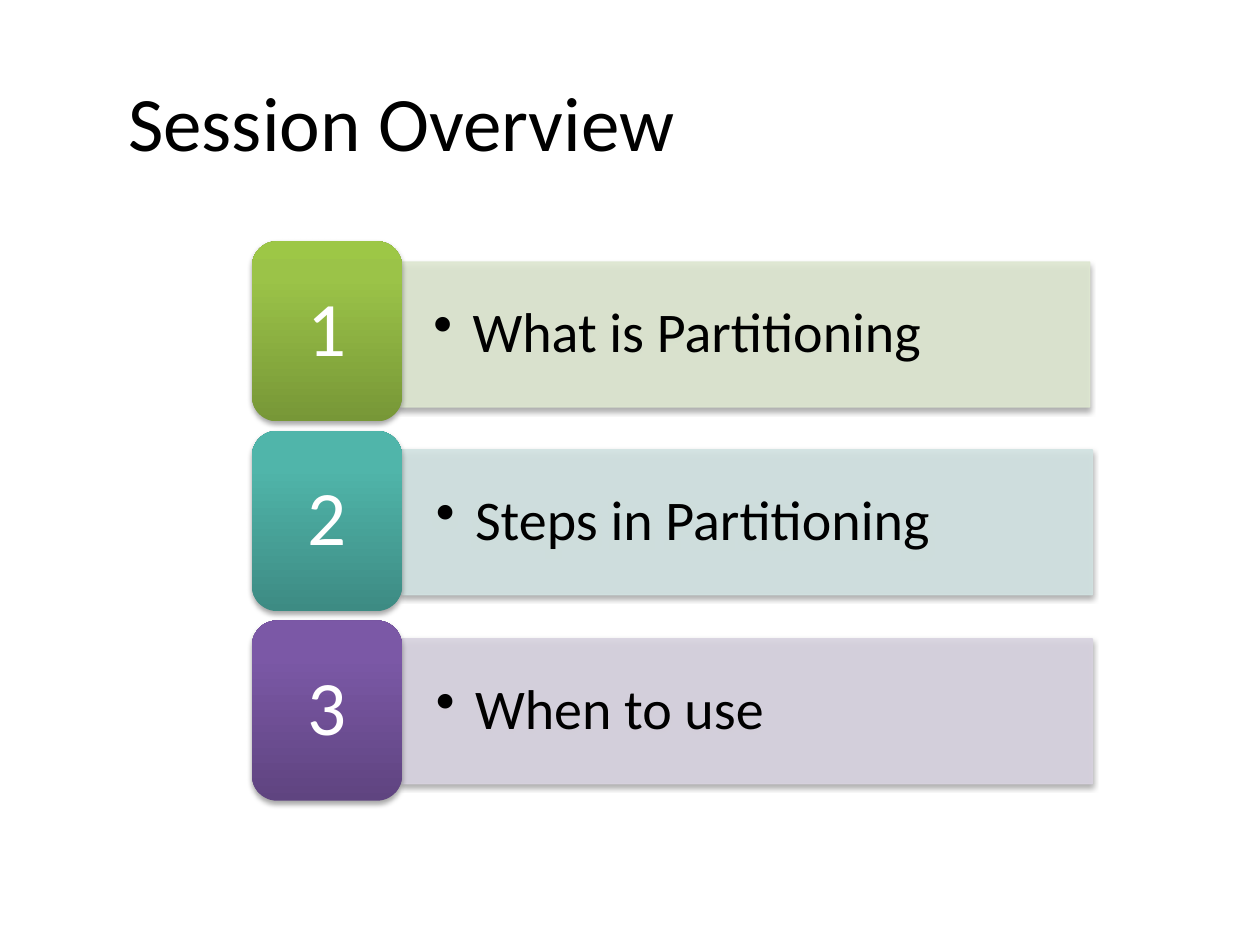
from lxml import etree
from pptx import Presentation
from pptx import util as u
from pptx.dml.color import RGBColor
from pptx.enum import shapes, text
from pptx.oxml.ns import qn

COLORS = {"text": "000000", "number": "FFFFFF", "shadow": "000000"}
COLS, ROWS = 100, 75

# Label, bar colour, badge gradient from bottom to top, bar column and row
TOPICS = [
    ("What is Partitioning", "DEE7D1", ("779737", "9BC348", "9DC746"), 31.7, 20.8),
    ("Steps in Partitioning", "D2E3E2", ("3D8B83", "50B5AA", "4EB8AC"), 31.9, 35.7),
    ("When to use", "D8D3E0", ("5F4480", "7B58A6", "7C57A8"), 31.9, 50.7),
]


def sub(parent, tag, **attrs):
    """Append one DrawingML element."""
    return etree.SubElement(parent, qn(tag), {k: str(v) for k, v in attrs.items()})


class Deck:
    font = "Calibri"

    def __init__(self):
        self.prs = Presentation()
        self.prs.slide_width, self.prs.slide_height = u.Inches(10), u.Inches(7.5)
        self.s = self.prs.slides.add_slide(self.prs.slide_layouts[6])

    def box(self, col, row, cols, rows):
        w, h = self.prs.slide_width / COLS, self.prs.slide_height / ROWS
        return [u.Emu(round(v)) for v in (col * w, row * h, cols * w, rows * h)]

    def label(self, sp, words, size, color, align, inset=(0.1, 0.05)):
        tf = sp.text_frame
        tf.word_wrap = True
        tf.vertical_anchor = text.MSO_ANCHOR.MIDDLE
        tf.margin_left = tf.margin_right = u.Inches(inset[0])
        tf.margin_top = tf.margin_bottom = u.Inches(inset[1])
        p = tf.paragraphs[0]
        p.text, p.alignment = words, align
        p.font.name, p.font.size = self.font, u.Pt(size)
        p.font.color.rgb = RGBColor.from_string(COLORS[color])
        return p

    def shadow(self, sp):
        sp.shadow.inherit = False
        effects = sp._element.spPr.find(qn("a:effectLst"))
        outer = sub(effects, "a:outerShdw", blurRad=u.Pt(3.1), dist=u.Pt(1.8),
                    dir=90 * 60000, rotWithShape=0)
        sub(sub(outer, "a:srgbClr", val=COLORS["shadow"]), "a:alpha", val=35000)

    def title(self, words, *place):
        sp = self.s.shapes.add_textbox(*self.box(*place))
        self.label(sp, words, 44, "text", text.PP_ALIGN.LEFT)

    def bar(self, words, color, *place):
        sp = self.s.shapes.add_shape(shapes.MSO_SHAPE.RECTANGLE, *self.box(*place))
        sp.fill.solid()
        sp.line.width = u.Pt(0.75)
        for paint in (sp.fill.fore_color, sp.line.color):
            paint.rgb = RGBColor.from_string(color)
        for clr in sp._element.spPr.iter(qn("a:srgbClr")):
            sub(clr, "a:alpha", val=90000)
        self.shadow(sp)
        p = self.label(sp, words, 32, "text", text.PP_ALIGN.LEFT, (0.27, 0.14))
        p.line_spacing = 0.9
        # Hanging bullet
        pPr = p._p.get_or_add_pPr()
        pPr.set("marL", str(u.Inches(0.31)))
        pPr.set("indent", str(-u.Inches(0.31)))
        bullet = etree.Element(qn("a:buChar"), char="•")
        pPr.find(qn("a:defRPr")).addprevious(bullet)

    def badge(self, number, colors, *place):
        sp = self.s.shapes.add_shape(shapes.MSO_SHAPE.ROUNDED_RECTANGLE, *self.box(*place))
        sp.fill.gradient()
        grad = sp._element.spPr.find(qn("a:gradFill"))
        for child in list(grad):
            grad.remove(child)
        stops = sub(grad, "a:gsLst")
        for pos, color in zip((0, 80, 100), colors):
            sub(sub(stops, "a:gs", pos=pos * 1000), "a:srgbClr", val=color)
        sub(grad, "a:lin", ang=270 * 60000, scaled=0)
        sp.line.fill.background()
        self.shadow(sp)
        p = self.label(sp, str(number), 44, "number", text.PP_ALIGN.CENTER, (0.18, 0.09))
        p.line_spacing = 0.9


def main():
    deck = Deck()

    # Numbered topics, each badge over the left end of its bar
    for i, (words, tint, gradient, col, row) in enumerate(TOPICS):
        deck.bar(words, tint, col, row, 54.8, 11.5)
        deck.badge(i + 1, gradient, 20, 19.15 + i * 15.05, 11.9, 14.3)

    # Heading
    deck.title("Session Overview", 9.2, 3.3, 88.3, 12.5)

    deck.prs.save("out.pptx")


if __name__ == "__main__":
    main()
